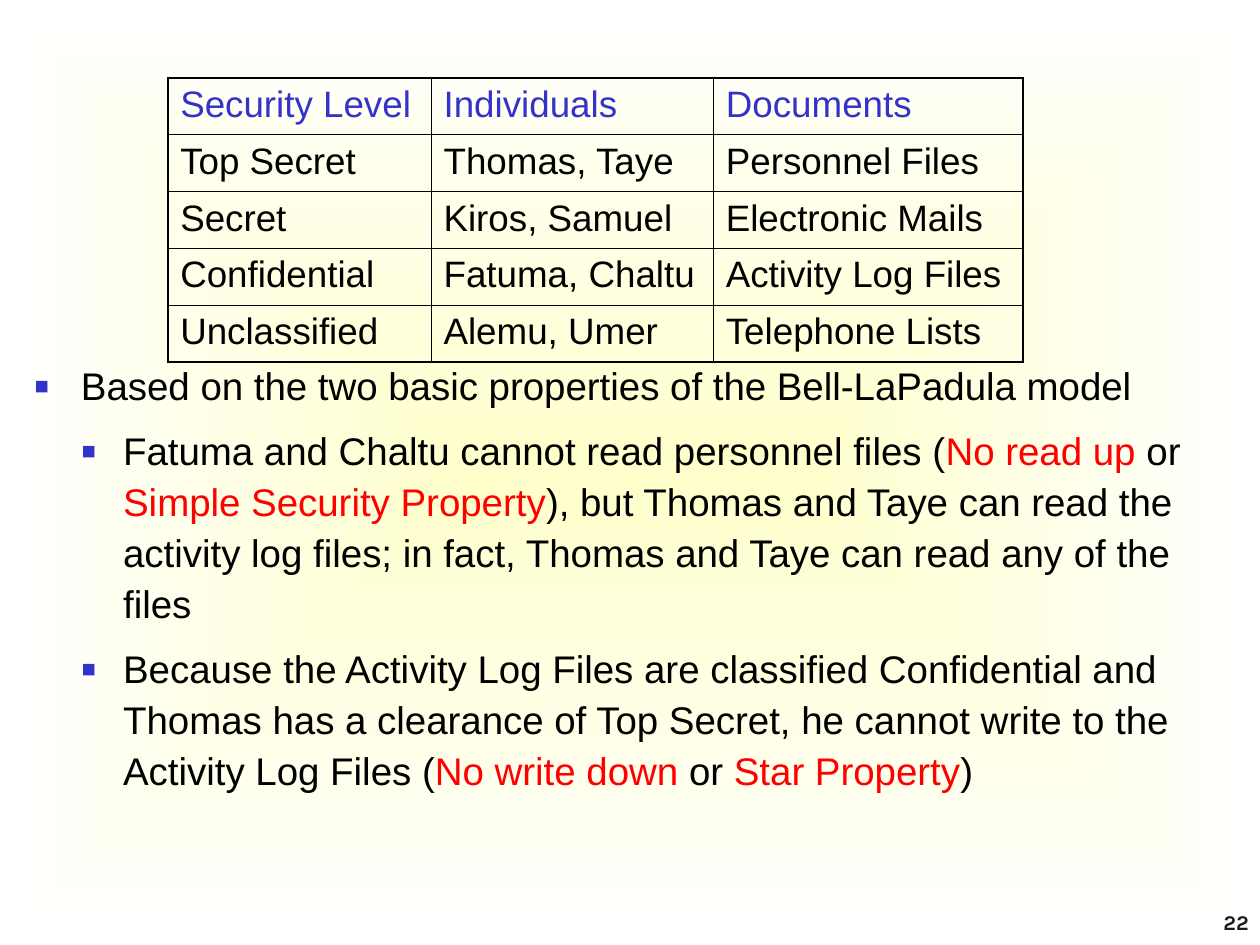
from dataclasses import dataclass

import pptx
import pptx.dml.color
import pptx.enum.text
import pptx.oxml
import pptx.oxml.ns
import pptx.util

Pt = pptx.util.Pt
NS = pptx.oxml.ns.nsdecls("a")
BLACK, BLUE, RED = "000000", "3333CC", "FF0000"
THIN, THICK = 0.45, 1.08


@dataclass
class Bullet:
    indent: float
    hanging: float
    runs: list[tuple[str, str]]


LEVELS = [
    ("Security Level", "Individuals", "Documents"),
    ("Top Secret", "Thomas, Taye", "Personnel Files"),
    ("Secret", "Kiros, Samuel", "Electronic Mails"),
    ("Confidential", "Fatuma, Chaltu", "Activity Log Files"),
    ("Unclassified", "Alemu, Umer", "Telephone Lists"),
]
COL_WIDTHS = [150.5, 161.3, 177.1]
ROW_HEIGHT = 32.4

BULLETS = [
    Bullet(27, 27, [
        ("Based on the two basic properties of the Bell-LaPadula model", BLACK),
    ]),
    Bullet(51.1, 24.3, [
        ("Fatuma and Chaltu cannot read personnel files (", BLACK),
        ("No read up", RED),
        (" or ", BLACK),
        ("Simple Security Property", RED),
        ("), but Thomas and Taye can read the activity log files; in fact, "
         "Thomas and Taye can read any of the files", BLACK),
    ]),
    Bullet(51.1, 24.3, [
        ("Because the Activity Log Files are classified Confidential and Thomas "
         "has a clearance of Top Secret, he cannot write to the Activity Log "
         "Files (", BLACK),
        ("No write down", RED),
        (" or ", BLACK),
        ("Star Property", RED),
        (")", BLACK),
    ]),
]


def rgb(color: str) -> pptx.dml.color.RGBColor:
    return pptx.dml.color.RGBColor.from_string(color)


def format_run(r, size: float, color: str, font: str = "Arial", bold: bool = False) -> None:
    r.font.size, r.font.name, r.font.bold = Pt(size), font, bold
    r.font.color.rgb = rgb(color)


def set_background(s) -> None:
    """Pale yellow in the centre, fading to white at the edges."""
    fill = s.background.fill
    fill.gradient()
    for stop, color in zip(fill.gradient_stops, ("FFFFCC", "FFFFFF")):
        stop.color.rgb = rgb(color)
    grad = s.element.xpath(".//p:bgPr/a:gradFill")[0]
    lin = grad.find(pptx.oxml.ns.qn("a:lin"))
    grad.replace(lin, pptx.oxml.parse_xml(
        f'<a:path {NS} path="rect">'
        '<a:fillToRect l="50000" t="50000" r="50000" b="50000"/></a:path>'))


def set_border(cell, side: str, width: float) -> None:
    cell._tc.get_or_add_tcPr().append(pptx.oxml.parse_xml(
        f'<a:ln{side} {NS} w="{Pt(width)}"><a:solidFill>'
        f'<a:srgbClr val="{BLACK}"/></a:solidFill></a:ln{side}>'))


def add_level_table(s, left: float, top: float) -> None:
    n_rows, n_cols = len(LEVELS), len(COL_WIDTHS)
    table = s.shapes.add_table(n_rows, n_cols, Pt(left), Pt(top),
                               Pt(sum(COL_WIDTHS)), Pt(ROW_HEIGHT * n_rows)).table
    table.first_row = table.horz_banding = False
    for col, width in zip(table.columns, COL_WIDTHS):
        col.width = Pt(width)
    for i, texts in enumerate(LEVELS):
        table.rows[i].height = Pt(ROW_HEIGHT)
        for j, text in enumerate(texts):
            cell = table.cell(i, j)
            cell.text_frame.text = text
            format_run(cell.text_frame.paragraphs[0].runs[0], 21, BLUE if i == 0 else BLACK)
            # Outer edges are thick, inner ones thin
            outer = {"L": j == 0, "R": j == n_cols - 1, "T": i == 0, "B": i == n_rows - 1}
            for side, is_outer in outer.items():
                set_border(cell, side, THICK if is_outer else THIN)
            cell.fill.background()


def add_bullet(p, bullet: Bullet) -> None:
    pPr = p._p.get_or_add_pPr()
    pPr.set("marL", str(Pt(bullet.indent)))
    pPr.set("indent", str(-Pt(bullet.hanging)))
    for xml in (f'<a:buClr {NS}><a:srgbClr val="{BLUE}"/></a:buClr>',
                f'<a:buSzPct {NS} val="120000"/>',
                f'<a:buFont {NS} typeface="Arial"/>',
                f'<a:buChar {NS} char="▪"/>'):
        pPr.append(pptx.oxml.parse_xml(xml))
    p.line_spacing = 1.1
    for text, color in bullet.runs:
        r = p.add_run()
        r.text = text
        format_run(r, 22, color)


def add_bullets(s, left: float, top: float, width: float, height: float) -> None:
    tf = s.shapes.add_textbox(Pt(left), Pt(top), Pt(width), Pt(height)).text_frame
    tf.word_wrap = True
    for i, bullet in enumerate(BULLETS):
        p = tf.add_paragraph() if i else tf.paragraphs[0]
        add_bullet(p, bullet)
        if i:
            p.level = 1
            p.space_before = Pt(8.2)


def add_page_number(s, text: str) -> None:
    tf = s.shapes.add_textbox(Pt(671.8), Pt(522), Pt(41.8), Pt(12.2)).text_frame
    tf.margin_left = tf.margin_right = tf.margin_top = tf.margin_bottom = 0
    tf.word_wrap = True
    tf.vertical_anchor = pptx.enum.text.MSO_ANCHOR.BOTTOM
    tf.text = text
    p = tf.paragraphs[0]
    p.alignment = pptx.enum.text.PP_ALIGN.RIGHT
    format_run(p.runs[0], 12, "1C1C1C", "Karla", True)


def main() -> None:
    prs = pptx.Presentation()
    prs.slide_width, prs.slide_height = Pt(720), Pt(540)
    # The slide has no title, so it takes the blank layout
    s = prs.slides.add_slide(prs.slide_layouts[6])
    set_background(s)
    add_page_number(s, "22")
    add_bullets(s, 12.2, 200.9, 700.6, 256.3)
    add_level_table(s, 95.8, 44.6)
    prs.save("out.pptx")


if __name__ == "__main__":
    main()
